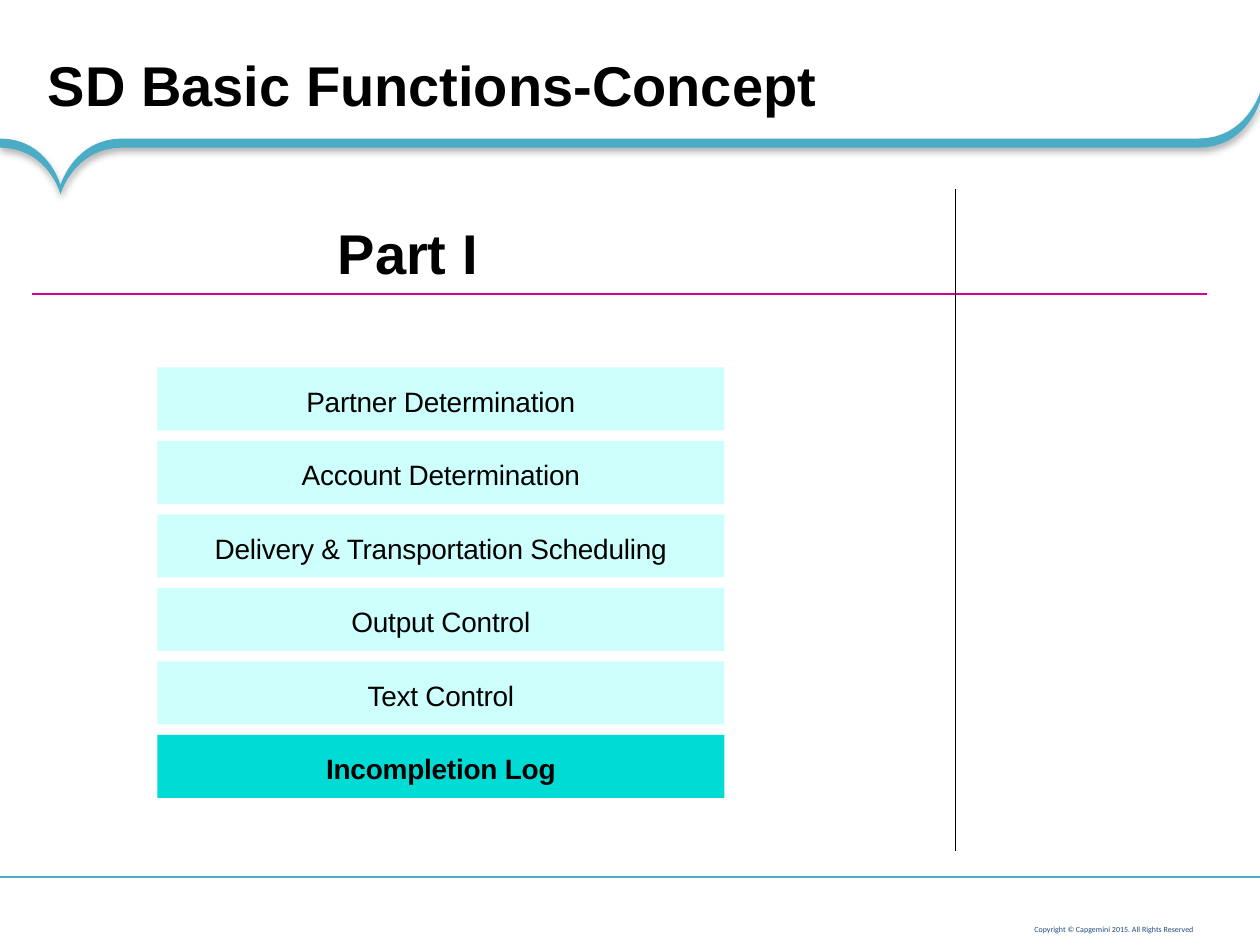
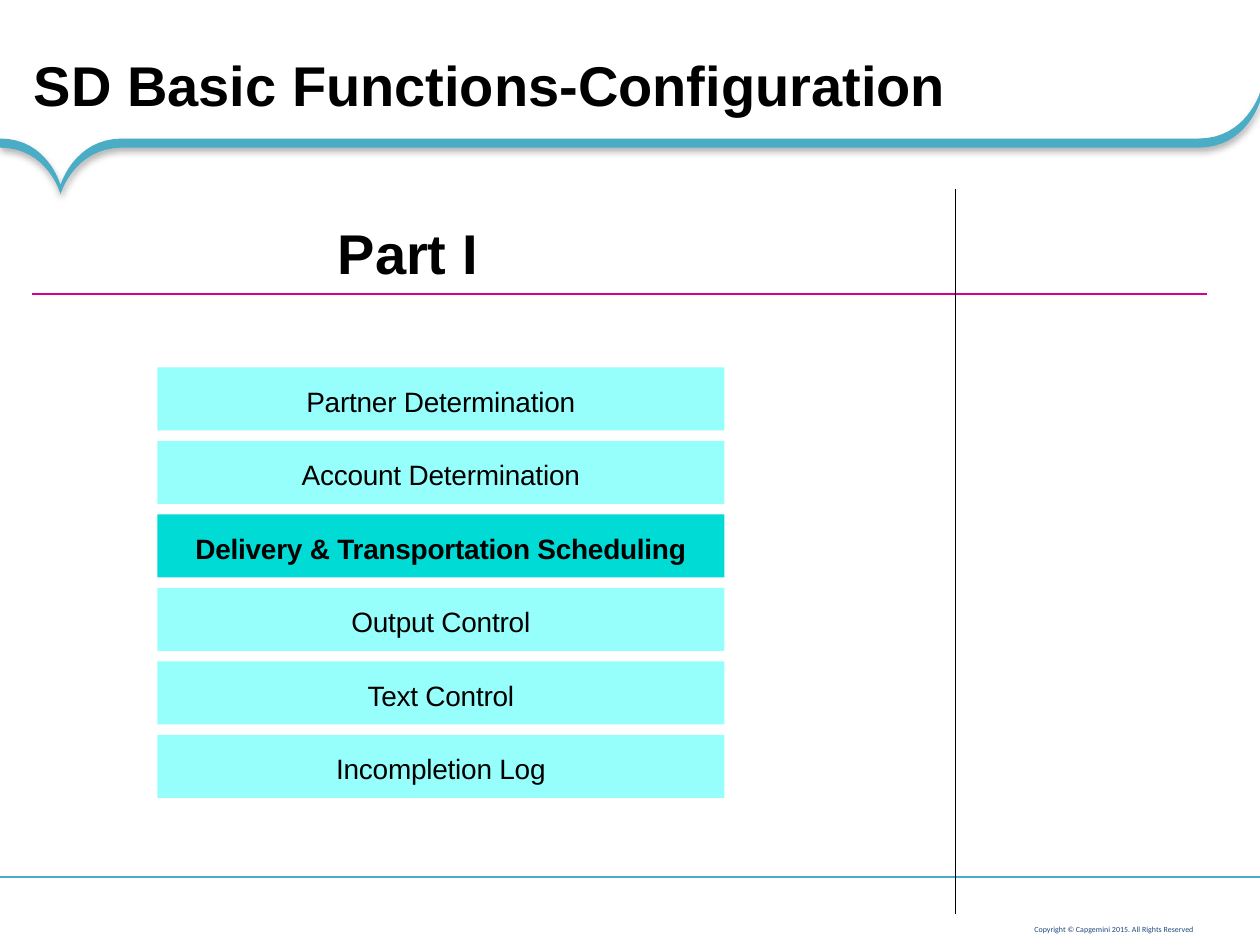
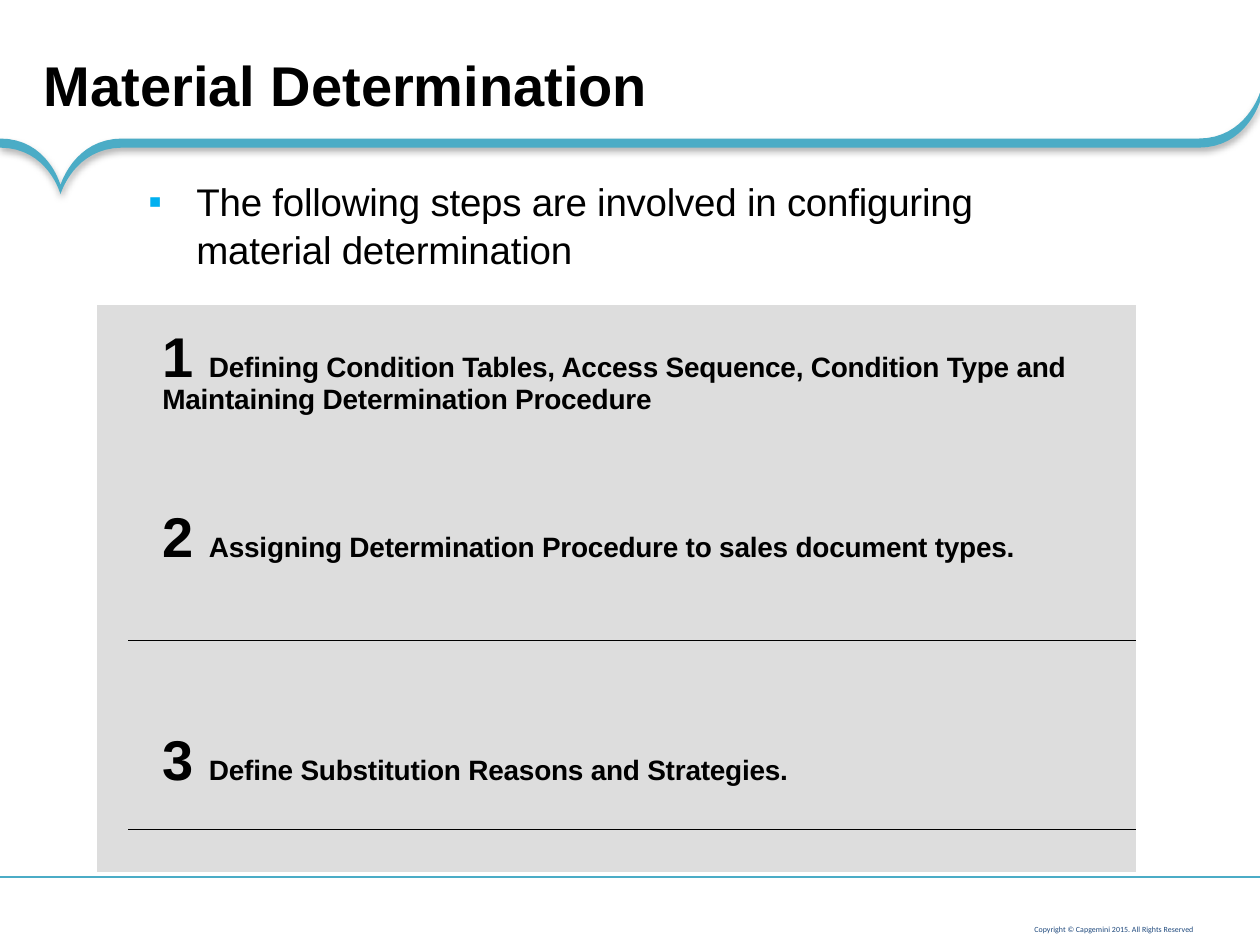
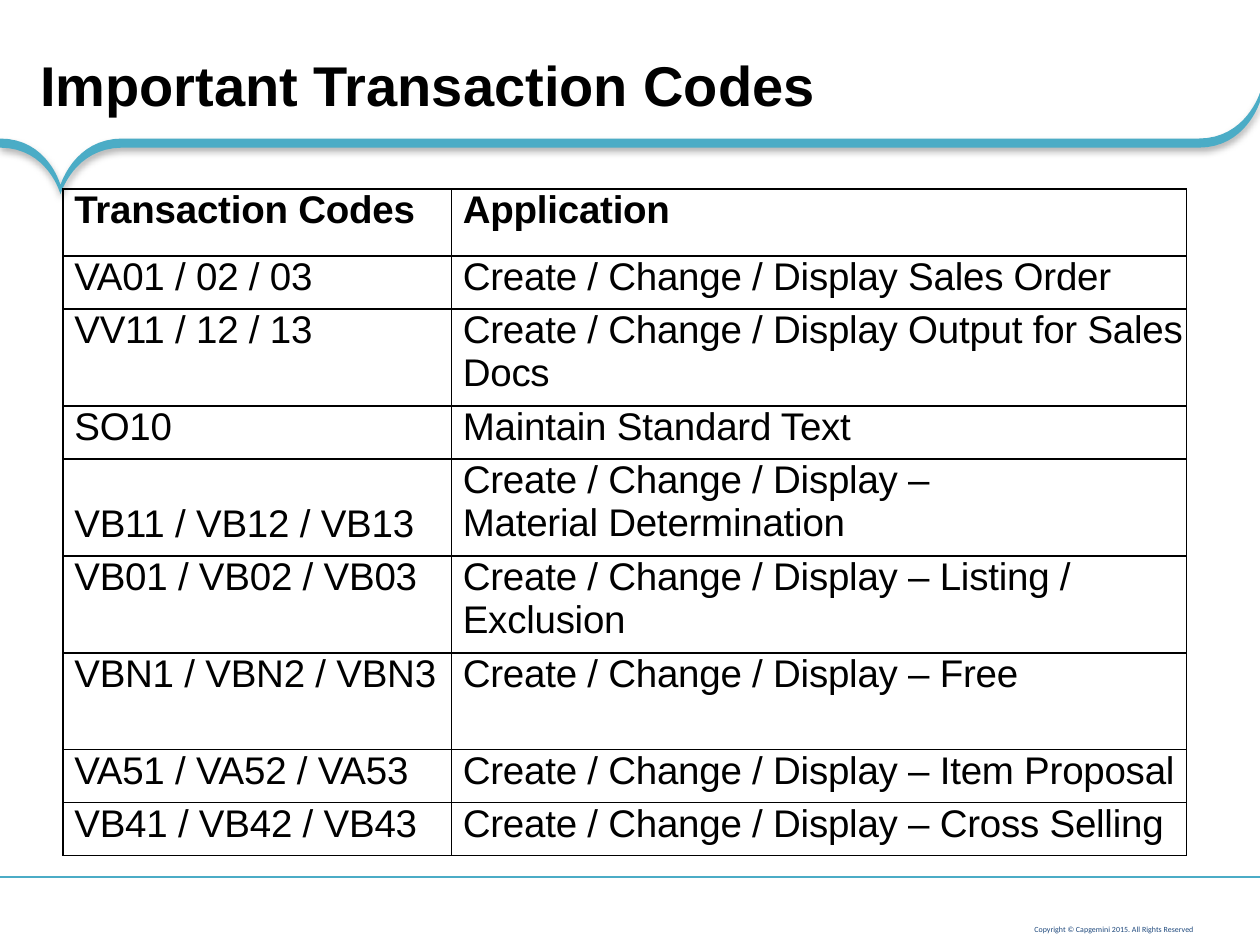
from lxml import etree
from pptx import Presentation
from pptx.dml.color import RGBColor
from pptx.enum.shapes import MSO_CONNECTOR, MSO_SHAPE
from pptx.enum.text import MSO_ANCHOR, PP_ALIGN
from pptx.oxml.ns import qn
from pptx.util import Pt

BLACK = RGBColor(0x00, 0x00, 0x00)
TEAL = RGBColor(0x4B, 0xAC, 0xC6)
NAVY = RGBColor(0x1F, 0x49, 0x7D)
MAGENTA = RGBColor(0xD5, 0x00, 0x93)
GREY = RGBColor(0xDD, 0xDD, 0xDD)
SKY = RGBColor(0x00, 0xB0, 0xF0)
PALE_CYAN = RGBColor(0xCD, 0xFF, 0xFD)
LIGHT_CYAN = RGBColor(0x96, 0xFF, 0xFC)
STRONG_CYAN = RGBColor(0x00, 0xDB, 0xD5)

LEFT, CENTER, RIGHT = PP_ALIGN.LEFT, PP_ALIGN.CENTER, PP_ALIGN.RIGHT
TOP, BOTTOM = MSO_ANCHOR.TOP, MSO_ANCHOR.BOTTOM
RECTANGLE = MSO_SHAPE.RECTANGLE
STRAIGHT = MSO_CONNECTOR.STRAIGHT

SLIDE_WIDTH, SLIDE_HEIGHT = 720, 540
BAND_TOP, BAND_TIP, BAND_DEPTH = 79.2, 105.8, 5.2

COPYRIGHT = "Copyright © Capgemini 2015. All Rights Reserved"
TOPICS = [
    "Partner Determination",
    "Account Determination",
    "Delivery & Transportation Scheduling",
    "Output Control",
    "Text Control",
    "Incompletion Log",
]
STEPS = [
    "Defining Condition Tables, Access Sequence, Condition Type and",
    "Maintaining Determination Procedure",
    "Assigning Determination Procedure to sales document types.",
]
CODES = [
    ("Transaction Codes", "Application", 38.3),
    ("VA01 / 02 / 03", "Create / Change / Display Sales Order", 30.3),
    ("VV11 / 12 / 13", "Create / Change / Display Output for Sales Docs", 55.4),
    ("SO10", "Maintain Standard Text", 30.3),
    ("VB11 / VB12 / VB13", "Create / Change / Display – Material Determination", 55.4),
    ("VB01 / VB02 / VB03", "Create / Change / Display – Listing / Exclusion", 55.4),
    ("VBN1 / VBN2 / VBN3", "Create / Change / Display – Free", 55.4),
    ("VA51 / VA52 / VA53", "Create / Change / Display – Item Proposal", 30.3),
    ("VB41 / VB42 / VB43", "Create / Change / Display – Cross Selling", 30.3),
]


def add_xml(parent, tag, **attributes):
    child = etree.SubElement(parent, qn(tag))
    for name, value in attributes.items():
        child.set(name, str(value))
    return child


def curve(start, first, second, end, steps=16):
    points = []
    for step in range(steps + 1):
        t = step / steps
        weights = ((1 - t) ** 3, 3 * t * (1 - t) ** 2, 3 * t * t * (1 - t), t ** 3)
        corners = (start, first, second, end)
        points.append(tuple(sum(w * c[axis] for w, c in zip(weights, corners))
                            for axis in (0, 1)))
    return points


class SlideMaker:
    font_name = "Arial"
    spacing = -10

    def __init__(self, deck):
        self.deck = deck
        self.slide = None

    def new_slide(self, title, left):
        self.slide = self.deck.slides.add_slide(self.deck.slide_layouts[6])
        self.band()
        self.line(0, 501.1, SLIDE_WIDTH, 501.1, TEAL, 0.75)
        self.text(COPYRIGHT, 490, 521.3, 192, 12.4, 4.5, color=NAVY, font="Calibri",
                  align=RIGHT, anchor=BOTTOM, spacing=0)
        self.text(title, left, 29, 690, 40, 32, bold=True, spacing=0)

    def style(self, para, size, bold=False, color=BLACK, font=None, spacing=None):
        for span in para.runs:
            span.font.name = font or self.font_name
            span.font.size = Pt(size)
            span.font.bold = bold
            span.font.color.rgb = color
            value = self.spacing if spacing is None else spacing
            span.font._element.set("spc", str(value))

    def frame(self, frame, text, size, align=LEFT, anchor=TOP, **look):
        frame.margin_left = frame.margin_right = 0
        frame.margin_top = frame.margin_bottom = 0
        frame.word_wrap = True
        frame.vertical_anchor = anchor
        frame.text = text
        para = frame.paragraphs[0]
        para.alignment = align
        self.style(para, size, **look)
        return para

    def text(self, text, left, top, width, height, size, **look):
        box = self.slide.shapes.add_textbox(Pt(left), Pt(top), Pt(width), Pt(height))
        return self.frame(box.text_frame, text, size, **look)

    def bar(self, text, left, top, width, height, fill, bold):
        box = self.slide.shapes.add_shape(RECTANGLE, Pt(left), Pt(top), Pt(width), Pt(height))
        box.shadow.inherit = False
        box.fill.solid()
        box.fill.fore_color.rgb = fill
        box.line.fill.background()
        self.frame(box.text_frame, text, 16, align=CENTER, bold=bold)
        box.text_frame.margin_top = Pt(9.5)

    def line(self, x1, y1, x2, y2, color, width):
        line = self.slide.shapes.add_connector(STRAIGHT, Pt(x1), Pt(y1), Pt(x2), Pt(y2))
        line.line.color.rgb = color
        line.line.width = Pt(width)
        add_xml(line._element.spPr, "a:effectLst")

    def band(self):
        tip = (34.6, BAND_TIP)
        corner = (SLIDE_WIDTH, 53)
        edge = curve((0, BAND_TOP), (27.4, BAND_TOP), tip, tip)
        edge += curve(tip, tip, (42.4, BAND_TOP), (70, BAND_TOP))
        edge += curve((685, BAND_TOP), (712, BAND_TOP), corner, corner)
        outline = edge + [(x, y + BAND_DEPTH) for x, y in reversed(edge)]
        points = [(Pt(x), Pt(y)) for x, y in outline]
        builder = self.slide.shapes.build_freeform(*points[0])
        builder.add_line_segments(points[1:], close=True)
        band = builder.convert_to_shape()
        band.fill.solid()
        band.fill.fore_color.rgb = TEAL
        band.line.fill.background()
        band.shadow.inherit = False
        effects = band._element.spPr.find(qn("a:effectLst"))
        shadow = add_xml(effects, "a:outerShdw", blurRad=Pt(4), dist=Pt(2),
                         dir=5400000, rotWithShape=0)
        add_xml(add_xml(shadow, "a:srgbClr", val=BLACK), "a:alpha", val=31000)

    def indent(self, para, left, first=0):
        properties = para._p.get_or_add_pPr()
        properties.set("marL", str(Pt(left)))
        properties.set("indent", str(Pt(first)))
        return properties

    def bullet(self, para, left, first, color):
        properties = self.indent(para, left, first)
        add_xml(add_xml(properties, "a:buClr"), "a:srgbClr", val=color)
        add_xml(properties, "a:buFont", typeface=self.font_name)
        add_xml(properties, "a:buChar", char="▪")

    def number(self, para, left, first, start):
        properties = self.indent(para, left, first)
        add_xml(properties, "a:buSzPct", val=200000)
        add_xml(properties, "a:buFont", typeface=self.font_name)
        add_xml(properties, "a:buAutoNum", type="arabicPlain", startAt=start)

    def table(self, left, top, widths, heights):
        frame = self.slide.shapes.add_table(len(heights), len(widths), Pt(left), Pt(top),
                                            Pt(sum(widths)), Pt(sum(heights)))
        table = frame.table
        table.first_row = table.horz_banding = False
        for column, width in zip(table.columns, widths):
            column.width = Pt(width)
        for row, height in zip(table.rows, heights):
            row.height = Pt(height)
        return table

    def cell(self, cell, sides="", width=1, fill=None, left=0, top=0, right=0):
        cell.margin_left, cell.margin_top = Pt(left), Pt(top)
        cell.margin_right, cell.margin_bottom = Pt(right), 0
        properties = cell._tc.get_or_add_tcPr()
        for side in "LRTB":
            border = add_xml(properties, "a:ln" + side, w=Pt(width))
            if side in sides:
                add_xml(add_xml(border, "a:solidFill"), "a:srgbClr", val=BLACK)
            else:
                add_xml(border, "a:noFill")
        if fill is None:
            cell.fill.background()
        else:
            cell.fill.solid()
            cell.fill.fore_color.rgb = fill


def topic_slide(maker, title, left, fill, current, rule_end):
    maker.new_slide(title, left)
    maker.line(18, 168, 690, 168, MAGENTA, 1)
    maker.line(546, 108, 546, rule_end, BLACK, 0.5)
    maker.text("Part I", 193, 125, 100, 39, 32, bold=True, spacing=0)
    for index, topic in enumerate(TOPICS):
        active = topic == current
        maker.bar(topic, 90, 210 + 42 * index, 324, 36,
                  STRONG_CYAN if active else fill, active)


def steps_slide(maker):
    maker.new_slide("Material Determination", 25)
    intro = maker.text("The following steps are involved in configuring material determination",
                       84.2, 100.4, 536, 53, 22)
    maker.bullet(intro, 28, -27.4, SKY)
    intro.line_spacing = 1.05

    table = maker.table(55.4, 174.2, [18, 576], [192, 108, 24])
    for row, (sides, top) in enumerate([("B", 27), ("TB", 51), ("T", 0)]):
        maker.cell(table.cell(row, 0), fill=GREY)
        maker.cell(table.cell(row, 1), sides, 0.75, GREY, top=top)
    table.cell(0, 0).merge(table.cell(2, 0))

    frame = table.cell(0, 1).text_frame
    frame.text = "\n".join(STEPS)
    define, maintain, assign = frame.paragraphs
    maker.number(define, 46, -26.6, 1)
    maker.indent(maintain, 19.4)
    maintain.space_before = Pt(0.6)
    maker.number(assign, 46, -26.6, 2)
    assign.space_before = Pt(67)
    for para in frame.paragraphs:
        maker.style(para, 16, bold=True)

    para = table.cell(1, 1).text_frame.paragraphs[0]
    maker.indent(para, 19.4)
    for text in ("3 ", "Define Substitution Reasons and Strategies."):
        para.add_run().text = text
    maker.style(para, 16, bold=True)
    para.runs[0].font.size = Pt(32)


def codes_slide(maker):
    maker.new_slide("Important Transaction Codes", 23)
    table = maker.table(36, 108, [222, 420], [height for _, _, height in CODES])
    for row, (codes, application, _) in enumerate(CODES):
        lowered = codes.startswith("VB11")
        maker.cell(table.cell(row, 0), "LRTB", left=6.5, top=25 if lowered else 0)
        maker.cell(table.cell(row, 1), "LRTB", left=6.5, right=80 if lowered else 0)
        for column, text in enumerate((codes, application)):
            frame = table.cell(row, column).text_frame
            frame.text = text
            maker.style(frame.paragraphs[0], 22, bold=row == 0)


def main():
    deck = Presentation()
    deck.slide_width, deck.slide_height = Pt(SLIDE_WIDTH), Pt(SLIDE_HEIGHT)
    maker = SlideMaker(deck)
    topic_slide(maker, "SD Basic Functions-Concept", 27.4, PALE_CYAN, TOPICS[5], 486)
    topic_slide(maker, "SD Basic Functions-Configuration", 19.4, LIGHT_CYAN, TOPICS[2], 522)
    steps_slide(maker)
    codes_slide(maker)
    deck.save("out.pptx")


if __name__ == "__main__":
    main()
